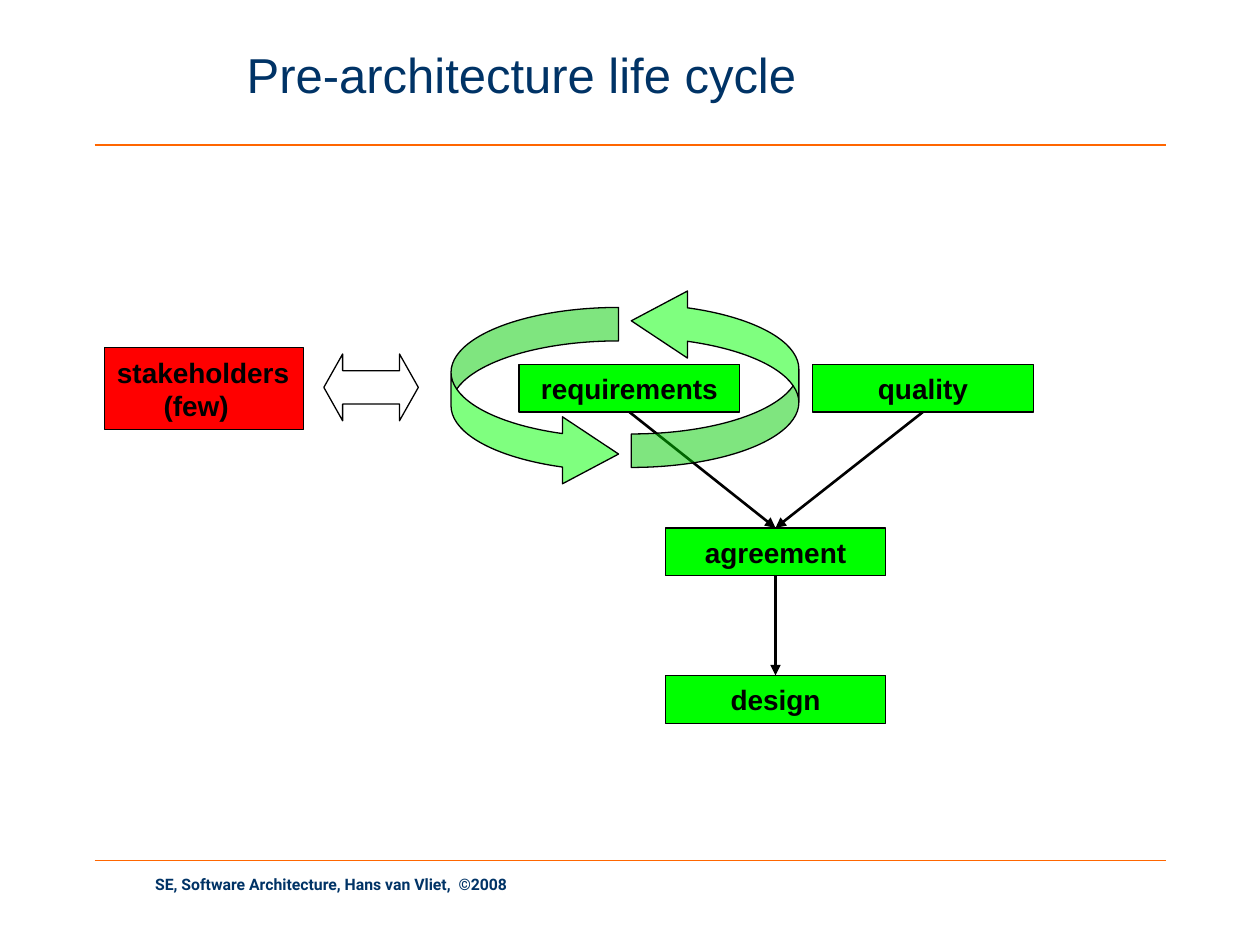
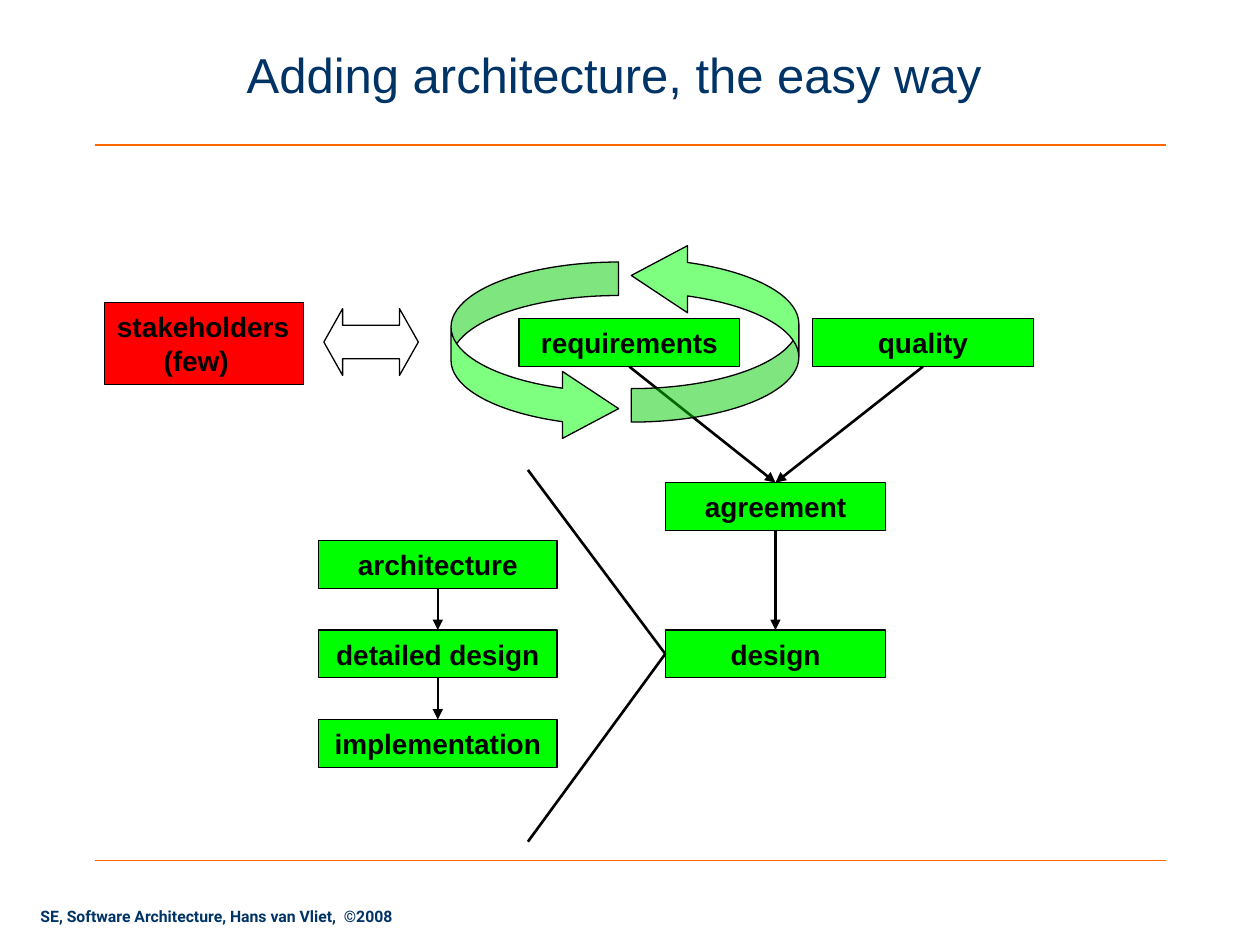
from itertools import pairwise

from lxml import etree
from pptx import Presentation
from pptx.dml.color import RGBColor
from pptx.enum.shapes import MSO_CONNECTOR as CONN, MSO_SHAPE as SHAPE
from pptx.enum.text import MSO_ANCHOR as ANCHOR, PP_ALIGN as ALIGN
from pptx.oxml.ns import qn
from pptx.util import Inches, Pt

NAVY, ORANGE, GREEN, RED, BLACK = "003366", "FF6600", "00FF00", "FF0000", "000000"
TITLE = {"name": "Arial", "size": Pt(28), "bold": False}
FOOTER = {"name": "Roboto", "size": Pt(9), "bold": True}
LABEL = {"name": "Arial", "size": Pt(16), "bold": True}
BOX_H = 0.38
TOP, LEFT, BOTTOM = 0, 1, 2


def rgb(value):
    """Turn a hex string into a colour."""
    return RGBColor.from_string(value)


def write(tf, lines, style, color, align=ALIGN.LEFT, anchor=ANCHOR.MIDDLE, wrap=True):
    """Write one paragraph per line in a text frame."""
    tf.word_wrap, tf.vertical_anchor = wrap, anchor
    for i, line in enumerate(lines):
        p = tf.paragraphs[0] if i == 0 else tf.add_paragraph()
        p.alignment = align
        r = p.add_run()
        r.text = line
        r.font.color.rgb = rgb(color)
        for key, value in style.items():
            setattr(r.font, key, value)


def add_text(s, box, text, style, **layout):
    """Add a navy text box."""
    tf = s.shapes.add_textbox(*map(Inches, box)).text_frame
    write(tf, [text], style, NAVY, **layout)


def add_outlined(s, kind, box, fill=None):
    """Add a preset shape with a thin black outline."""
    sp = s.shapes.add_shape(kind, *map(Inches, box))
    sp.shadow.inherit = False
    sp.line.color.rgb, sp.line.width = rgb(BLACK), Pt(0.75)
    if fill:
        sp.fill.solid()
        sp.fill.fore_color.rgb = rgb(fill)
    else:
        sp.fill.background()
    return sp


def add_step(s, text, left, top, width=1.75):
    """Add a green box with a centred label."""
    sp = add_outlined(s, SHAPE.RECTANGLE, (left, top, width, BOX_H), GREEN)
    write(sp.text_frame, [text], LABEL, BLACK, ALIGN.CENTER, wrap=False)
    return sp


def add_line(s, start=(0, 0), end=(0, 0), color=BLACK, width=1.5):
    """Add a straight line without a shadow."""
    line = s.shapes.add_connector(CONN.STRAIGHT, *map(Inches, (*start, *end)))
    line.line.color.rgb, line.line.width = rgb(color), Pt(width)
    etree.SubElement(line._element.spPr, qn("a:effectLst"))
    return line


def add_arrow(s, source, target):
    """Join the bottom of one box to the top of another."""
    line = add_line(s)
    line.begin_connect(source, BOTTOM)
    line.end_connect(target, TOP)
    etree.SubElement(line.line._get_or_add_ln(), qn("a:tailEnd"), type="triangle")


def add_cycle_arrow(s, left, top, rotation):
    """Add one translucent half of the negotiation cycle."""
    sp = add_outlined(s, SHAPE.CURVED_RIGHT_ARROW, (left, top, 1.33, 1.43), GREEN)
    sp.rotation = rotation
    for i, value in enumerate((0.2, 0.4, 0.335)):
        sp.adjustments[i] = value
    color = sp._element.spPr.find(qn("a:solidFill"))[0]
    etree.SubElement(color, qn("a:alpha"), val="50000")


def add_stakeholders(s, left, top):
    """Add the red stakeholder box and its two-way arrow."""
    sp = add_outlined(s, SHAPE.RECTANGLE, (left, top, 1.58, 0.65), RED)
    write(sp.text_frame, ["stakeholders", "(few)"], LABEL, BLACK, wrap=False)
    sp.text_frame.paragraphs[1]._p.get_or_add_pPr().set("marL", str(Inches(0.37)))
    exchange = add_outlined(s, SHAPE.LEFT_RIGHT_ARROW, (left + 1.74, top + 0.05, 0.75, 0.53))
    exchange.adjustments[0], exchange.adjustments[1] = 0.5, 0.282


def add_life_cycle(s, left, top):
    """Draw the flow from stakeholders to design and return the design box."""
    requirements = add_step(s, "requirements", left + 3.29, top + 0.61)
    quality = add_step(s, "quality", left + 5.62, top + 0.61)
    agreement = add_step(s, "agreement", left + 4.45, top + 1.91)
    design = add_step(s, "design", left + 4.45, top + 3.08)
    for source, target in ((requirements, agreement), (quality, agreement), (agreement, design)):
        add_arrow(s, source, target)
    add_cycle_arrow(s, left + 2.75, top + 0.16, 0)
    add_cycle_arrow(s, left + 4.18, top, 180)
    add_stakeholders(s, left, top + 0.48)
    return design


def add_design_steps(s, left, top, design):
    """Stack the steps inside design and bracket them to its box."""
    names = ("architecture", "detailed design", "implementation")
    steps = [add_step(s, name, left, top + 0.71 * i, 1.89) for i, name in enumerate(names)]
    for source, target in pairwise(steps):
        add_arrow(s, source, target)
    for offset in (-0.56, 2.39):
        add_line(s, end=(left + 1.66, top + offset)).begin_connect(design, LEFT)


def add_base(prs, title, footer_left, footer_top, footer_width):
    """Add a slide with its rules, title and footer."""
    s = prs.slides.add_slide(prs.slide_layouts[6])
    for y in (6.83, 1.15):
        add_line(s, (0.75, y), (9.25, y), ORANGE, 0.75)
    add_text(s, (1.86, 0.13, 6.21, 0.92), title, TITLE)
    add_text(s, (footer_left, footer_top, footer_width, 0.35),
             "SE, Software Architecture, Hans van Vliet,  ©2008", FOOTER,
             align=ALIGN.RIGHT, anchor=ANCHOR.TOP)
    return s


def main():
    """Build and save both slides."""
    prs = Presentation()
    prs.slide_width, prs.slide_height = Inches(10), Inches(7.5)
    s = add_base(prs, "Pre-architecture life cycle", 0.49, 6.89, 3.63)
    add_life_cycle(s, 0.83, 2.28)
    s = add_base(prs, "Adding architecture, the easy way", 0, 7.15, 3.21)
    design = add_life_cycle(s, 0.83, 1.92)
    add_design_steps(s, 2.53, 4.29, design)
    prs.save("out.pptx")


if __name__ == "__main__":
    main()
